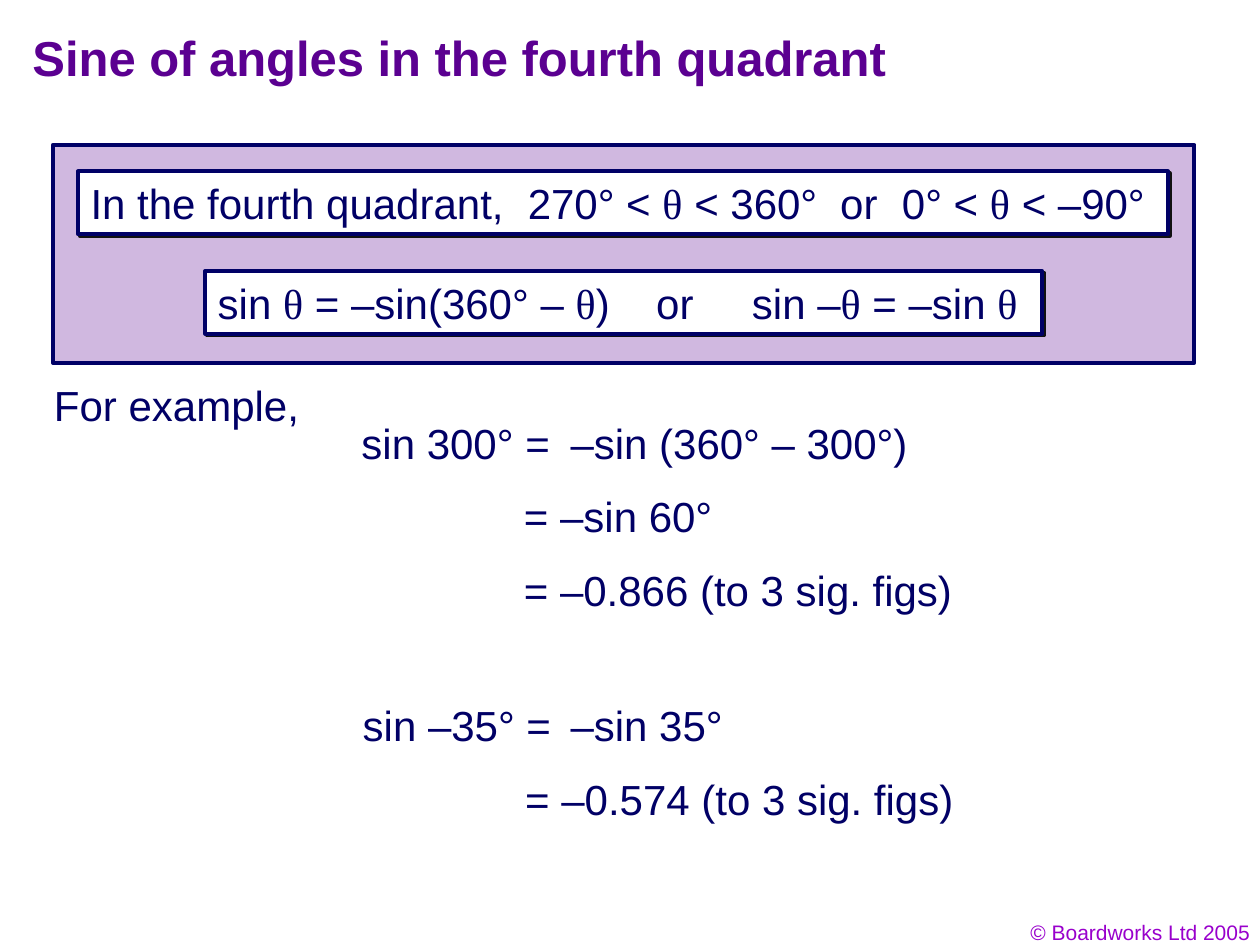
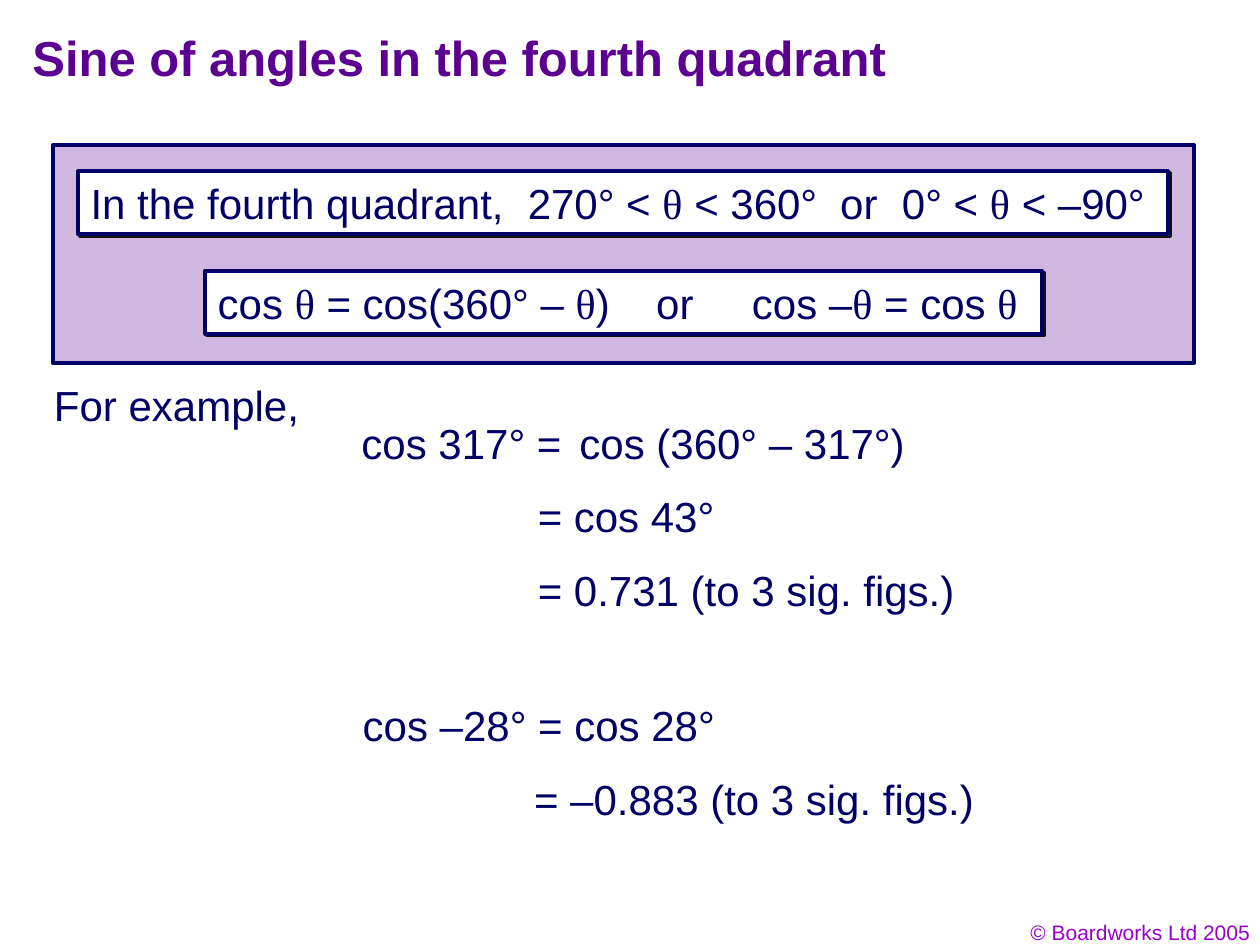
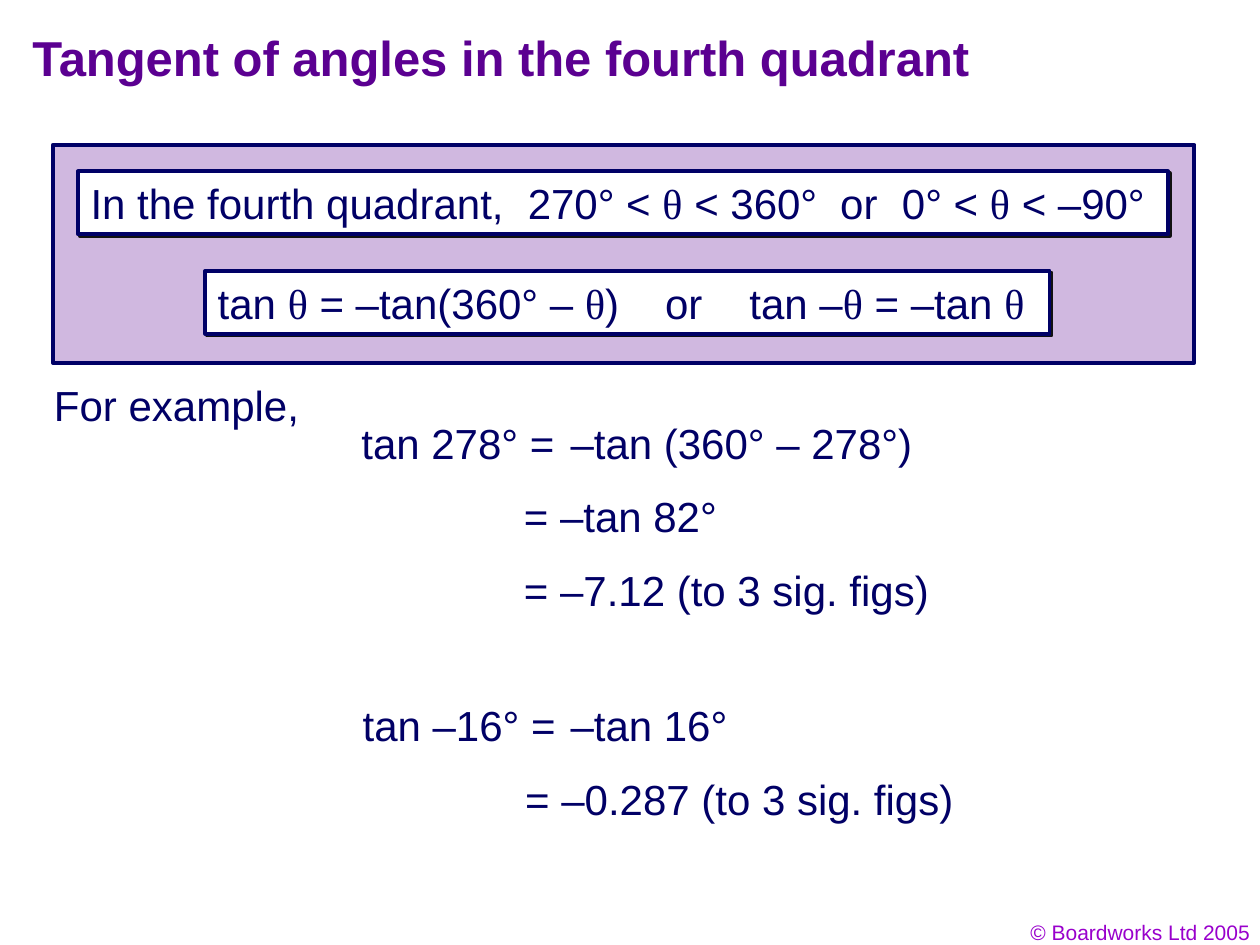
"""Build three slides on trigonometric ratios of angles in the fourth quadrant."""
from itertools import groupby

from lxml.etree import SubElement
from pptx import Presentation
from pptx.dml.color import RGBColor
from pptx.enum.shapes import MSO_SHAPE
from pptx.enum.text import MSO_ANCHOR, PP_ALIGN
from pptx.oxml.ns import qn
from pptx.util import Inches, Pt

PANEL_FILL = "D0B8E0"
OUTLINE = "000066"
BODY_COLOR = "010066"
TITLE_COLOR = "5B0091"
FOOTER_COLOR = "9900CC"
SHADOW_COLOR = "111111"

LINE_TOPS = [3.26, 3.26, 3.84, 4.43, 5.5, 5.5, 6.09]
RANGE_TEXT = "In the fourth quadrant,\t270° < θ < 360°\tor\t0° < θ < –90°"
RANGE_TABS = [3.47, 5.95, 6.44]

SLIDES = [
    {
        "title": "Sine of angles in the fourth quadrant",
        "identity": "sin θ = –sin(360° – θ)\tor\tsin –θ = –sin θ",
        "identity_width": 6.64,
        "identity_tabs": [3.48, 4.24],
        "working": [
            (2.77, 1.69, "sin 300° ="),
            (4.43, 2.87, "–sin (360° – 300°)"),
            (4.06, 1.69, "= –sin 60°"),
            (4.06, 3.6, "= –0.866 (to 3 sig. figs)"),
            (2.78, 1.69, "sin –35° ="),
            (4.43, 1.5, "–sin 35°"),
            (4.07, 3.6, "= –0.574 (to 3 sig. figs)"),
        ],
    },
    {
        "title": "Sine of angles in the fourth quadrant",
        "identity": "cos θ = cos(360° – θ)\tor\tcos –θ = cos θ",
        "identity_width": 6.64,
        "identity_tabs": [3.48, 4.24],
        "working": [
            (2.77, 1.79, "cos 317° ="),
            (4.5, 2.78, "cos (360° – 317°)"),
            (4.17, 1.6, "= cos 43°"),
            (4.17, 3.51, "= 0.731 (to 3 sig. figs.)"),
            (2.78, 1.79, "cos –28° ="),
            (4.46, 1.41, "cos 28°"),
            (4.14, 3.69, "= –0.883 (to 3 sig. figs.)"),
        ],
    },
    {
        "title": "Tangent of angles in the fourth quadrant",
        "identity": "tan θ = –tan(360° – θ)\tor\ttan –θ = –tan θ",
        "identity_width": 6.7,
        "identity_tabs": [3.55, 4.22],
        "working": [
            (2.77, 1.73, "tan 278° ="),
            (4.43, 2.91, "–tan (360° – 278°)"),
            (4.06, 1.73, "= –tan 82°"),
            (4.06, 3.41, "= –7.12 (to 3 sig. figs)"),
            (2.78, 1.73, "tan –16° ="),
            (4.43, 1.54, "–tan 16°"),
            (4.07, 3.6, "= –0.287 (to 3 sig. figs)"),
        ],
    },
]


def add_text(slide, box, text, size=24, color=BODY_COLOR, bold=False, align=PP_ALIGN.LEFT):
    """Add a one-line text box."""
    shape = slide.shapes.add_textbox(*map(Inches, box))
    frame = shape.text_frame
    frame.text = text
    frame.word_wrap = True
    frame.vertical_anchor = MSO_ANCHOR.MIDDLE
    paragraph = frame.paragraphs[0]
    paragraph.alignment = align
    font = paragraph.runs[0].font
    font.name = "Arial"
    font.size = Pt(size)
    font.bold = bold
    font.color.rgb = RGBColor.from_string(color)
    return shape


def add_rectangle(slide, box, fill):
    """Add an outlined rectangle."""
    shape = slide.shapes.add_shape(MSO_SHAPE.RECTANGLE, *map(Inches, box))
    shape.shadow.inherit = False
    shape.fill.solid()
    shape.fill.fore_color.rgb = RGBColor.from_string(fill)
    shape.line.color.rgb = RGBColor.from_string(OUTLINE)
    shape.line.width = Pt(2.25)
    return shape


presentation = Presentation()
presentation.slide_width = Inches(10)
presentation.slide_height = Inches(7.5)

for content in SLIDES:
    slide = presentation.slides.add_slide(presentation.slide_layouts[6])
    add_text(slide, (7.69, 7.25, 2.33, 0.3), "© Boardworks Ltd 2005", 12, FOOTER_COLOR, align=PP_ALIGN.RIGHT)
    add_rectangle(slide, (0.42, 1.15, 9.06, 1.73), PANEL_FILL)
    add_text(slide, (0.16, 0.12, 8.5, 0.67), content["title"], 28, TITLE_COLOR, bold=True)

    callouts = [
        ((0.62, 1.36, 8.65, 0.5), RANGE_TEXT, RANGE_TABS),
        ((1.63, 2.15, content["identity_width"], 0.5), content["identity"], content["identity_tabs"]),
    ]
    for box, text, tabs in callouts:
        callout = add_rectangle(slide, box, "FFFFFF")
        effects = callout.element.spPr.find(qn("a:effectLst"))
        shadow = SubElement(effects, qn("a:outerShdw"), dist=str(Pt(1.4)), dir="2700000", algn="ctr", rotWithShape="0")
        SubElement(shadow, qn("a:srgbClr"), val=SHADOW_COLOR)

        callout.text_frame.word_wrap = True
        callout.text_frame.margin_right = 0
        paragraph = callout.text_frame.paragraphs[0]
        paragraph.alignment = PP_ALIGN.LEFT
        tab_list = SubElement(paragraph._p.get_or_add_pPr(), qn("a:tabLst"))
        for position in tabs:
            SubElement(tab_list, qn("a:tab"), pos=str(Inches(position)), algn="l")
        for is_theta, letters in groupby(text, lambda letter: letter == "θ"):
            run = paragraph.add_run()
            run.text = "".join(letters)
            run.font.name = "Times New Roman" if is_theta else "Arial"
            run.font.size = Pt(24)
            run.font.color.rgb = RGBColor.from_string(BODY_COLOR)

    working = [(0.33, 2.96, 2.14, "For example,")]
    working += [(left, top, width, text) for top, (left, width, text) in zip(LINE_TOPS, content["working"])]
    for left, top, width, text in working:
        line = add_text(slide, (left, top, width, 0.5), text)
        line.text_frame.margin_right = 0

presentation.save("out.pptx")
